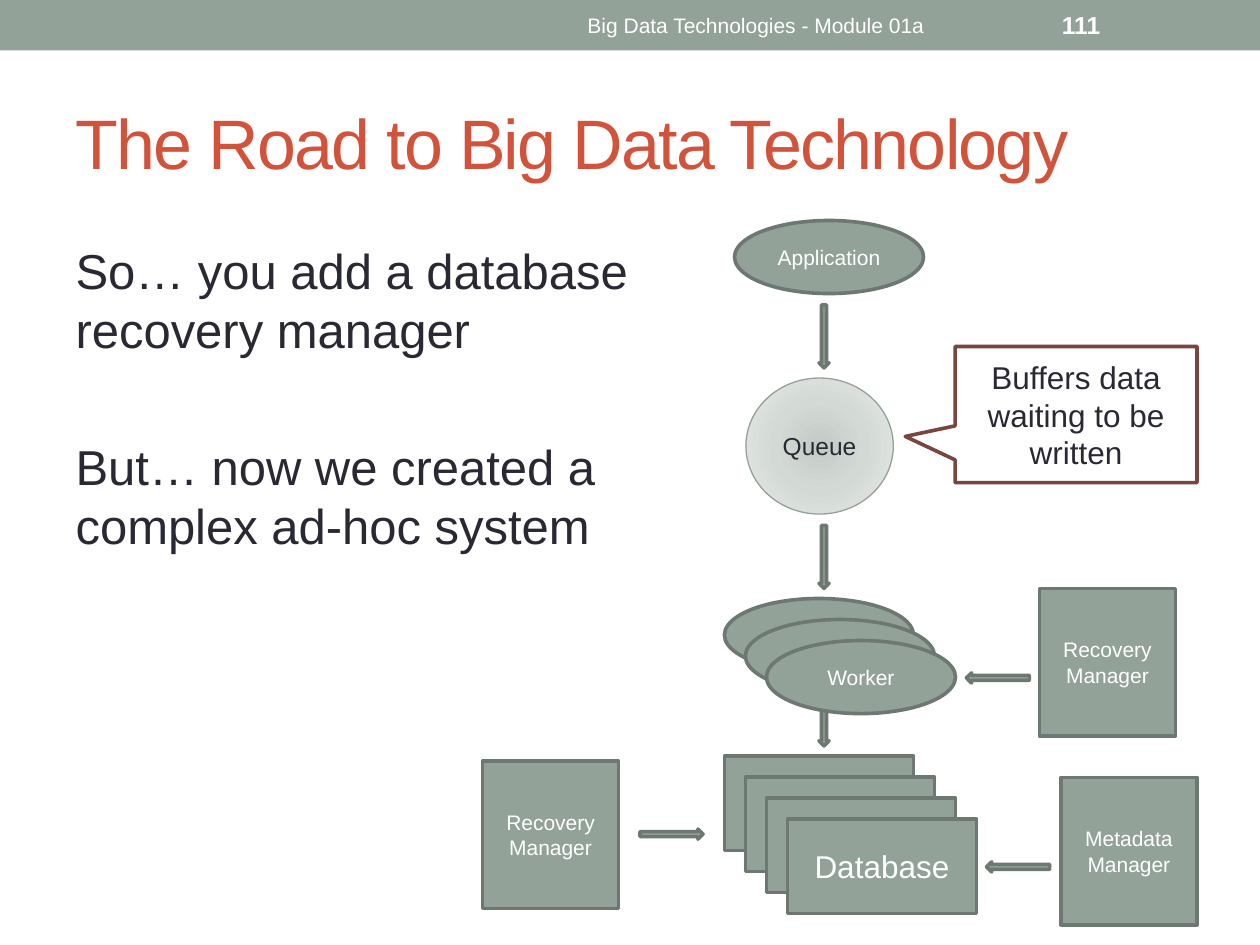
from lxml.etree import SubElement
from pptx import Presentation
from pptx.dml.color import RGBColor
from pptx.enum.shapes import MSO_SHAPE
from pptx.enum.text import MSO_ANCHOR, MSO_AUTO_SIZE, PP_ALIGN
from pptx.oxml import parse_xml
from pptx.oxml.ns import nsdecls, qn
from pptx.util import Inches, Pt

SAGE = RGBColor(0x93, 0xA2, 0x99)
SAGE_DARK = RGBColor(0x6D, 0x78, 0x71)
RUST = RGBColor(0xD2, 0x53, 0x3C)
BROWN = RGBColor(0x79, 0x46, 0x3D)
INK = RGBColor(0x29, 0x29, 0x34)
WHITE = RGBColor(0xFF, 0xFF, 0xFF)
QUEUE_STOPS = [(0, "C4CAC6"), (45, "D3DAD6"), (100, "E7EAE8")]
STACK_STEP = 1 / 6


def place(sp, box):
    sp.left, sp.top, sp.width, sp.height = (Inches(v) for v in box)


def write(tf, text, size, color, align=PP_ALIGN.LEFT, bold=False):
    tf.text = text
    tf.word_wrap = True
    tf.auto_size = MSO_AUTO_SIZE.NONE
    tf.vertical_anchor = MSO_ANCHOR.MIDDLE
    for p in tf.paragraphs:
        p.alignment = align
        for r in p.runs:
            r.font.name, r.font.size, r.font.bold = "Arial", Pt(size), bold
            r.font.color.rgb = color


def add_node(s, kind, box, text="", size=12, color=WHITE,
             fill=SAGE, line=SAGE_DARK, width=2.08):
    sp = s.shapes.add_shape(kind, *(Inches(v) for v in box))
    sp.shadow.inherit = False
    sp.fill.solid()
    sp.fill.fore_color.rgb = fill
    sp.line.color.rgb = line
    sp.line.width = Pt(width)
    if text:
        write(sp.text_frame, text, size, color, PP_ALIGN.CENTER)
    return sp


def add_arrow(s, cx, cy, rotation=0):
    w, h = 0.08, 0.5
    sp = add_node(s, MSO_SHAPE.DOWN_ARROW, (cx - w / 2, cy - h / 2, w, h))
    sp.rotation = rotation


def add_stack(s, kind, box, count, text, size):
    """Overlapping nodes stepping down and right; the front one is labelled."""
    x, y, w, h = box
    for i in range(count):
        label = text if i == count - 1 else ""
        add_node(s, kind, (x + i * STACK_STEP, y + i * STACK_STEP, w, h), label, size)


def fill_radial(sp, stops):
    sp.fill.background()
    grad = parse_xml(f'<a:gradFill {nsdecls("a")}><a:gsLst/><a:path path="circle">'
                     '<a:fillToRect l="50000" t="50000" r="50000" b="50000"/>'
                     '</a:path></a:gradFill>')
    for pos, color in stops:
        gs = SubElement(grad[0], qn("a:gs"), pos=str(pos * 1000))
        SubElement(gs, qn("a:srgbClr"), val=color)
    spPr = sp._element.spPr
    spPr.replace(spPr.find(qn("a:noFill")), grad)


def add_header(s, box):
    x, y, w, h = box
    bar = add_node(s, MSO_SHAPE.RECTANGLE, box)
    bar.line.fill.background()
    for left, width, text, size, align, bold in [
        (3.75, 4.5, "Big Data Technologies - Module 01a", 12, PP_ALIGN.CENTER, False),
        (8.33, 1.17, "111", 14, PP_ALIGN.LEFT, True),
    ]:
        tb = s.shapes.add_textbox(Inches(x + left), Inches(y + 0.02),
                                  Inches(width), Inches(h - 0.04))
        write(tb.text_frame, text, size, WHITE, align, bold)


def add_title(s, box):
    title = s.shapes.title
    place(title, box)
    write(title.text_frame, "The Road to Big Data Technology", 40, RUST)
    title.text_frame.paragraphs[0].runs[0]._r.get_or_add_rPr().set("spc", "-100")


def add_body(s, box):
    body = s.placeholders[1]
    place(body, box)
    tf = body.text_frame
    write(tf, "So… you add a database recovery manager\n"
              "But… now we created a complex ad-hoc system", 28, INK)
    tf.vertical_anchor = MSO_ANCHOR.TOP
    tf.margin_top = Inches(0.08)
    for p, before in zip(tf.paragraphs, (0, 45)):
        pPr = p._p.get_or_add_pPr()
        pPr.set("marL", "0")
        pPr.set("indent", "0")
        SubElement(pPr, qn("a:buNone"))
        p.line_spacing = Pt(33.5)
        p.space_before = Pt(before)


def add_diagram(s, box):
    x, y, w, h = box
    axis = x + 2.71

    # Application and queue, with the arrows down the main flow
    add_node(s, MSO_SHAPE.OVAL, (x + 2, y, 1.5, 0.58), "Application")
    for cy in (0.92, 2.67, 3.92):
        add_arrow(s, axis, y + cy)
    queue = add_node(s, MSO_SHAPE.OVAL, (x + 2.09, y + 1.25, 1.17, 1.08),
                     "Queue", 14, INK, line=SAGE, width=0.75)
    fill_radial(queue, QUEUE_STOPS)
    note = add_node(s, MSO_SHAPE.RECTANGULAR_CALLOUT, (x + 3.75, y + 1, 1.92, 1.08),
                    "Buffers data waiting to be written", 18, INK, WHITE, BROWN)
    note.adjustments[0], note.adjustments[1] = -0.706, 0.161

    # Workers and databases
    add_stack(s, MSO_SHAPE.OVAL, (x + 1.92, y + 3, 1.5, 0.58), 3, "Worker", 12)
    add_stack(s, MSO_SHAPE.RECTANGLE, (x + 1.92, y + 4.25, 1.5, 0.75), 4, "Database", 18)

    # Managers, each with an arrow to what it serves
    for left, top, text, cx, cy, rotation in [
        (4.42, 2.92, "Recovery\nManager", 4.09, 3.63, 90),
        (4.59, 4.42, "Metadata Manager", 4.25, 5.13, 90),
        (0, 4.29, "Recovery\nManager", 1.5, 4.87, 270),
    ]:
        add_node(s, MSO_SHAPE.RECTANGLE, (x + left, y + top, 1.08, 1.17), text)
        add_arrow(s, x + cx, y + cy, rotation)


def main():
    prs = Presentation()
    prs.slide_width, prs.slide_height = Inches(10), Inches(7.5)
    s = prs.slides.add_slide(prs.slide_layouts[1])
    add_header(s, (0, 0, 10, 0.4))
    add_title(s, (0.5, 0.58, 9, 1.08))
    add_body(s, (0.5, 1.83, 5.33, 5.16))
    add_diagram(s, (3.83, 1.75, 5.67, 5.59))
    prs.save("out.pptx")


if __name__ == "__main__":
    main()
